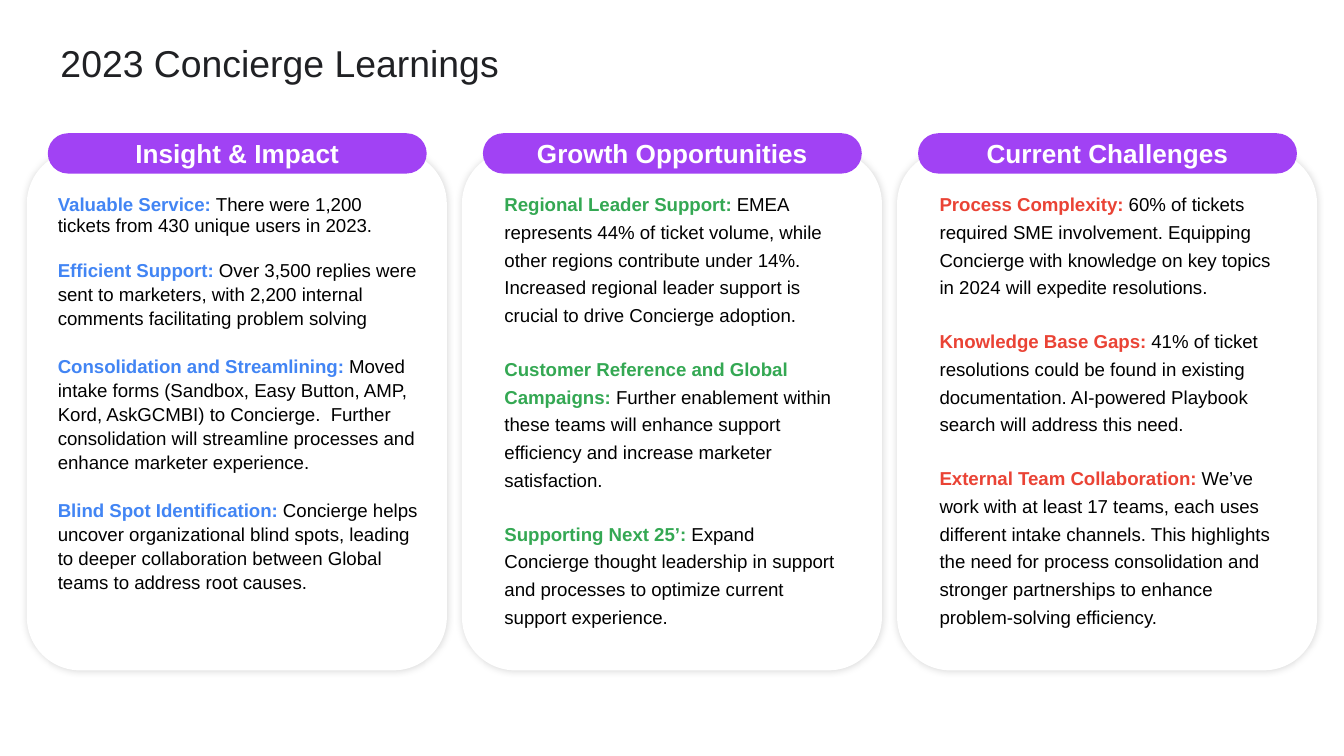
from dataclasses import dataclass

from lxml import etree
from pptx import Presentation
from pptx.dml.color import RGBColor
from pptx.enum.shapes import MSO_SHAPE
from pptx.enum.text import MSO_ANCHOR, MSO_AUTO_SIZE, PP_ALIGN
from pptx.oxml.ns import qn
from pptx.util import Pt

ROUNDED = MSO_SHAPE.ROUNDED_RECTANGLE
TOP, MIDDLE = MSO_ANCHOR.TOP, MSO_ANCHOR.MIDDLE
LEFT, CENTER = PP_ALIGN.LEFT, PP_ALIGN.CENTER
NO_AUTOFIT = MSO_AUTO_SIZE.NONE
TITLE_ONLY = 5


@dataclass(frozen=True)
class Theme:
    font: str = "Arial"
    title_size: float = 20
    header_size: float = 14
    body_size: float = 10
    white: str = "FFFFFF"
    black: str = "000000"
    title: str = "202124"
    header: str = "A142F4"
    blue: str = "4285F4"
    green: str = "34A853"
    red: str = "EA4335"


THEME = Theme()

INSIGHTS = [
    ("Valuable Service: ", "There were 1,200 tickets from 430 unique users in 2023."),
    ("Efficient Support:", " Over 3,500 replies were sent to marketers, with 2,200 internal "
     "comments facilitating problem solving"),
    ("Consolidation and Streamlining: ", "Moved intake forms (Sandbox, Easy Button, AMP, Kord, "
     "AskGCMBI) to Concierge.  Further consolidation will streamline processes and enhance "
     "marketer experience."),
    ("Blind Spot Identification: ", "Concierge helps uncover organizational blind spots, leading "
     "to deeper collaboration between Global teams to address root causes."),
]
OPPORTUNITIES = [
    ("Regional Leader Support: ", "EMEA represents 44% of ticket volume, while other regions "
     "contribute under 14%. Increased regional leader support is crucial to drive Concierge "
     "adoption."),
    ("Customer Reference and Global Campaigns: ", "Further enablement within these teams will "
     "enhance support efficiency and increase marketer satisfaction."),
    ("Supporting Next 25’: ", "Expand Concierge thought leadership in support and processes to "
     "optimize current support experience."),
]
CHALLENGES = [
    ("Process Complexity: ", "60% of tickets required SME involvement. Equipping Concierge with "
     "knowledge on key topics in 2024 will expedite resolutions."),
    ("Knowledge Base Gaps: ", "41% of ticket resolutions could be found in existing "
     "documentation. AI-powered Playbook search will address this need."),
    ("External Team Collaboration: ", "We’ve work with at least 17 teams, each uses different "
     "intake channels. This highlights the need for process consolidation and stronger "
     "partnerships to enhance problem-solving efficiency."),
]


def format_font(font, size, color, bold=False):
    font.name = THEME.font
    font.size = Pt(size)
    font.bold = bold
    font.color.rgb = RGBColor.from_string(color)


def set_margins(target, horizontal, vertical):
    target.margin_left = target.margin_right = Pt(horizontal)
    target.margin_top = target.margin_bottom = Pt(vertical)


def add_soft_shadow(shape):
    effects = shape._element.spPr.find(qn("a:effectLst"))
    shadow = etree.SubElement(effects, qn("a:outerShdw"), blurRad=str(Pt(4)), dist="0", dir="0")
    color = etree.SubElement(shadow, qn("a:srgbClr"), val=THEME.black)
    etree.SubElement(color, qn("a:alpha"), val="14000")


def add_rounded_box(slide, left, top, width, height, radius, color):
    shape = slide.shapes.add_shape(ROUNDED, Pt(left), Pt(top), Pt(width), Pt(height))
    shape.adjustments[0] = radius
    shape.fill.solid()
    shape.fill.fore_color.rgb = RGBColor.from_string(color)
    shape.line.fill.background()
    shape.shadow.inherit = False
    return shape


def write_points(text_frame, points, color, spacings, gaps):
    text_frame.word_wrap = True
    for index, (label, detail) in enumerate(points):
        paragraph = text_frame.add_paragraph() if index else text_frame.paragraphs[0]
        paragraph.alignment = LEFT
        paragraph.line_spacing = spacings[index]
        if index:
            paragraph.space_before = Pt(gaps[index - 1])
        for text, run_color, bold in ((label, color, True), (detail, THEME.black, False)):
            run = paragraph.add_run()
            run.text = text
            format_font(run.font, THEME.body_size, run_color, bold)


def add_header(slide, left, top, text):
    shape = add_rounded_box(slide, left, top, 203, 21.6, 0.5, THEME.header)
    text_frame = shape.text_frame
    text_frame.text = text
    text_frame.vertical_anchor = MIDDLE
    set_margins(text_frame, 7.2, 7.2)
    paragraph = text_frame.paragraphs[0]
    paragraph.alignment = CENTER
    format_font(paragraph.runs[0].font, THEME.header_size, THEME.white, True)


def add_points_table(slide, left, top, points, color):
    frame = slide.shapes.add_table(1, 1, Pt(left), Pt(top), Pt(203), Pt(226))
    table = frame.table
    table.first_row = False
    table.horz_banding = False
    cell = table.cell(0, 0)
    cell.fill.background()
    set_margins(cell, 5, 3)
    write_points(cell.text_frame, points, color, [1, 1.15, 1.15, 1.15], [11.2, 12.85, 12.85])


def add_points_text(card, points, color):
    text_frame = card.text_frame
    text_frame.vertical_anchor = TOP
    set_margins(text_frame, 14.4, 11.5)
    count = len(points)
    write_points(text_frame, points, color, [1.24] * count, [13.85] * (count - 1))


def add_column(slide, left, top, header, points, color, in_table):
    card = add_rounded_box(slide, left, top + 9.2, 225, 278.6, 0.127, THEME.white)
    add_soft_shadow(card)
    add_header(slide, left + 11.2, top, header)
    if in_table:
        add_points_table(slide, left + 11.6, top + 30.1, points, color)
    else:
        add_points_text(card, points, color)


def add_title(slide, left, top, width, height, text):
    title = slide.shapes.title
    title.left, title.top, title.width, title.height = Pt(left), Pt(top), Pt(width), Pt(height)
    text_frame = title.text_frame
    text_frame.text = text
    text_frame.auto_size = NO_AUTOFIT
    text_frame.vertical_anchor = TOP
    set_margins(text_frame, 0, 0)
    text_frame.margin_right = Pt(7.2)
    paragraph = text_frame.paragraphs[0]
    paragraph.alignment = LEFT
    paragraph.line_spacing = 0.9
    format_font(paragraph.runs[0].font, THEME.title_size, THEME.title)


def main():
    presentation = Presentation()
    presentation.slide_width, presentation.slide_height = Pt(720), Pt(405)
    slide = presentation.slides.add_slide(presentation.slide_layouts[TITLE_ONLY])
    add_title(slide, 32.4, 24.5, 430, 21, "2023 Concierge Learnings")
    columns = [
        ("Insight & Impact", INSIGHTS, THEME.blue, True),
        ("Growth Opportunities", OPPORTUNITIES, THEME.green, False),
        ("Current Challenges", CHALLENGES, THEME.red, False),
    ]
    for index, column in enumerate(columns):
        add_column(slide, 14.4 + index * 233.1, 71.4, *column)
    presentation.save("out.pptx")


if __name__ == "__main__":
    main()
